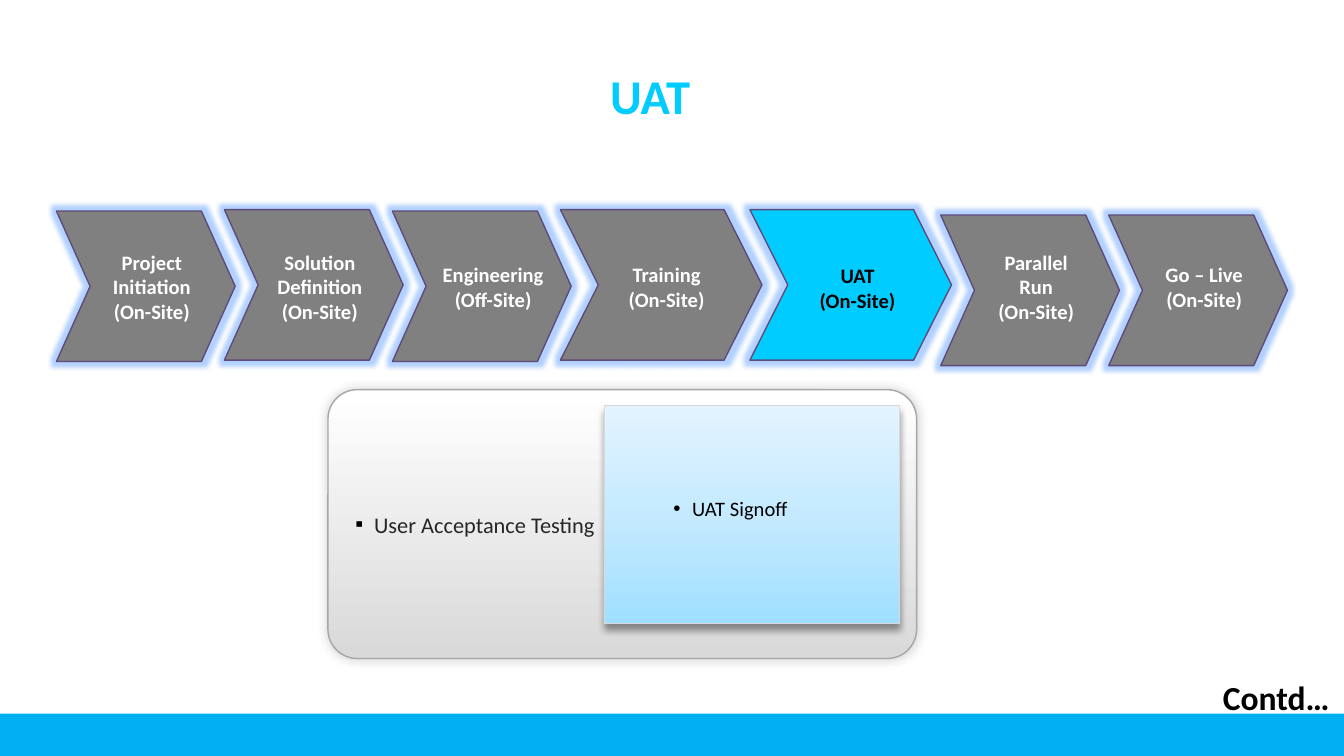
import copy

import pptx
import pptx.dml.color
import pptx.enum.shapes
import pptx.enum.text
import pptx.oxml
import pptx.oxml.ns
import pptx.util
from pptx.util import Inches

SHAPE = pptx.enum.shapes.MSO_SHAPE
ALIGN = pptx.enum.text.PP_ALIGN
ANCHOR = pptx.enum.text.MSO_ANCHOR
AUTO_SIZE = pptx.enum.text.MSO_AUTO_SIZE
qn = pptx.oxml.ns.qn

# name, place, left, top, width, label offset x, label offset y, label width
STAGES = [
    ("Project Initiation", "(On-Site)", 0.42, 1.57, 1.33, 0.25, 0.24, 0.92),
    ("Solution Definition", "(On-Site)", 1.67, 1.56, 1.33, 0.25, 0.25, 0.92),
    ("Engineering", "(Off-Site)", 2.92, 1.57, 1.33, 0.25, 0.33, 1),
    ("Training", "(On-Site)", 4.17, 1.56, 1.5, 0.33, 0.34, 0.92),
    ("UAT", "(On-Site)", 5.58, 1.56, 1.5, 0.34, 0.35, 0.92),
    ("Parallel Run", "(On-Site)", 7, 1.6, 1.33, 0.25, 0.21, 0.92),
    ("Go – Live", "(On-Site)", 8.25, 1.6, 1.33, 0.25, 0.3, 0.92),
]
CURRENT_STAGE = "UAT"
STAGE_HEIGHT = 1.12


def rgb(hex_colour):
    return pptx.dml.color.RGBColor.from_string(hex_colour)


def apply(target, formats):
    for attribute, value in formats.items():
        setattr(target, attribute, value)


def inches(box):
    return [Inches(length) for length in box]


def element(xml):
    """Parse one DrawingML element, adding its namespace."""
    namespace = pptx.oxml.ns.nsdecls("a")
    tag, rest = xml.split(" ", 1)
    return pptx.oxml.parse_xml(f"{tag} {namespace} {rest}")


def style_font(paragraph, size, colour, bold=False):
    apply(paragraph.font, {"name": "Calibri", "size": pptx.util.Pt(size), "bold": bold})
    paragraph.font.color.rgb = rgb(colour)


def set_insets(frame, left, top, right, bottom):
    apply(frame, dict(zip(("margin_left", "margin_top", "margin_right", "margin_bottom"),
                          inches((left, top, right, bottom)))))


def add_filled(slide, kind, box, colour):
    shape = slide.shapes.add_shape(kind, *inches(box))
    shape.shadow.inherit = False
    shape.fill.solid()
    shape.fill.fore_color.rgb = rgb(colour)
    return shape


def outline(shape, colour, width):
    shape.line.color.rgb = rgb(colour)
    shape.line.width = pptx.util.Pt(width)


def add_effect(shape, tag, attributes, colour, opacity):
    effects = shape._element.spPr.find(qn("a:effectLst"))
    effects.append(element(
        f'<a:{tag} {attributes}><a:srgbClr val="{colour}">'
        f'<a:alpha val="{opacity * 1000}"/></a:srgbClr></a:{tag}>'))


def fill_upwards(shape, colours):
    """Gradient with equally spaced stops, from the bottom to the top."""
    shape.fill.gradient()
    shape.fill.gradient_angle = 90
    stop_list = shape._element.spPr.find(qn("a:gradFill")).find(qn("a:gsLst"))
    while len(stop_list) < len(colours):
        stop_list.append(copy.deepcopy(stop_list[0]))
    for index, (stop, colour) in enumerate(zip(shape.fill.gradient_stops, colours)):
        stop.position = index / (len(colours) - 1)
        stop.color.rgb = rgb(colour)


def add_text(slide, box, lines, size, colour, align):
    frame = slide.shapes.add_textbox(*inches(box)).text_frame
    frame.word_wrap = True
    frame.text = "\n".join(lines)
    for paragraph in frame.paragraphs:
        paragraph.alignment = align
        style_font(paragraph, size, colour, bold=True)


def add_title(slide, box, wording):
    title = slide.shapes.title
    apply(title, dict(zip(("left", "top", "width", "height"), inches(box))))
    frame = title.text_frame
    frame.text = wording
    apply(frame, {"auto_size": AUTO_SIZE.NONE, "vertical_anchor": ANCHOR.TOP})
    set_insets(frame, 0.07, 0.04, 0.07, 0.04)
    frame.paragraphs[0].alignment = ALIGN.LEFT
    style_font(frame.paragraphs[0], 26, "00CCFF", bold=True)


def add_stage(slide, box, name, place, label_box):
    """Chevron with a glow; label_box is relative to the chevron."""
    left, top, width, height = box
    current = name == CURRENT_STAGE
    chevron = add_filled(slide, SHAPE.CHEVRON, box, "00CCFF" if current else "808080")
    chevron.adjustments[0] = 0.252 if width == 1.5 else 0.224
    outline(chevron, "604A7B", 0.75)
    add_effect(chevron, "glow", 'rad="63500"', "3F8CFF", 40)
    dx, dy, label_width, label_height = label_box
    add_text(slide, (left + dx, top + dy, label_width, label_height), (name, place),
             11, "000000" if current else "FFFFFF", ALIGN.CENTER)


def add_card(slide, box, look, bullet, wording):
    """Gradient card holding one bulleted line."""
    card = add_filled(slide, SHAPE.ROUNDED_RECTANGLE, box, "FFFFFF")
    card.adjustments[0] = look["rounding"]
    fill_upwards(card, look["gradient"])
    outline(card, *look["line"])
    add_effect(card, "outerShdw", look["shadow"], "000000", look["opacity"])

    frame = card.text_frame
    apply(frame, {"word_wrap": True, "vertical_anchor": ANCHOR.MIDDLE})
    set_insets(frame, *look["insets"])
    line = frame.paragraphs[0]
    line.text = wording
    line.alignment = ALIGN.LEFT
    properties = line._p.get_or_add_pPr()
    properties.set("marL", str(Inches(look["indent"])))
    properties.set("indent", str(-Inches(0.14)))
    for xml in ('<a:buClr ><a:srgbClr val="000000"/></a:buClr>',
                '<a:buFont typeface="Arial"/>',
                f'<a:buChar char="{bullet}"/>'):
        properties.append(element(xml))
    style_font(line, look["size"], look["colour"])


def add_activities(slide, box):
    """Activity card with the deliverable card inside its right half."""
    left, top, width, height = box
    add_card(slide, box, {
        "rounding": 0.109, "gradient": ("D9D9D9", "FFFFFF"), "line": ("A6A6A6", 0.75),
        "shadow": 'blurRad="76200" dist="0" dir="18900000"', "opacity": 20,
        "insets": (0, 0, 0, 0), "indent": 0.28, "size": 12, "colour": "262626",
    }, "▪", "User Acceptance Testing")
    add_card(slide, (left + 2.06, top + 0.12, 2.19, 1.62), {
        "rounding": 0, "gradient": ("A0DFFF", "C5EAFF", "E3F4FF"), "line": ("D9D9D9", 0.5),
        "shadow": 'blurRad="50800" dist="38100" dir="5400000"', "opacity": 40,
        "insets": (0, 0, 0.15, 0.09), "indent": 0.65, "size": 11, "colour": "000000",
    }, "•", "UAT Signoff")


def main():
    deck = pptx.Presentation()
    deck.slide_width = Inches(10)
    deck.slide_height = Inches(10 * 9 / 16)
    slide = deck.slides.add_slide(deck.slide_layouts.get_by_name("Title Only"))

    footer_band = add_filled(slide, SHAPE.RECTANGLE, (0, 5.31, 10, 0.33), "00B0F0")
    footer_band.line.fill.background()
    add_activities(slide, (2.44, 2.9, 4.38, 2))
    add_title(slide, (4.47, 0.45, 5.94, 0.47), "UAT")
    for name, place, left, top, width, dx, dy, label_width in STAGES:
        add_stage(slide, (left, top, width, STAGE_HEIGHT), name, place,
                  (dx, dy, label_width, 0.66))
    add_text(slide, (9, 4.99, 1.08, 0.4), ["Contd…"], 18, "000000", ALIGN.LEFT)
    deck.save("out.pptx")


if __name__ == "__main__":
    main()
